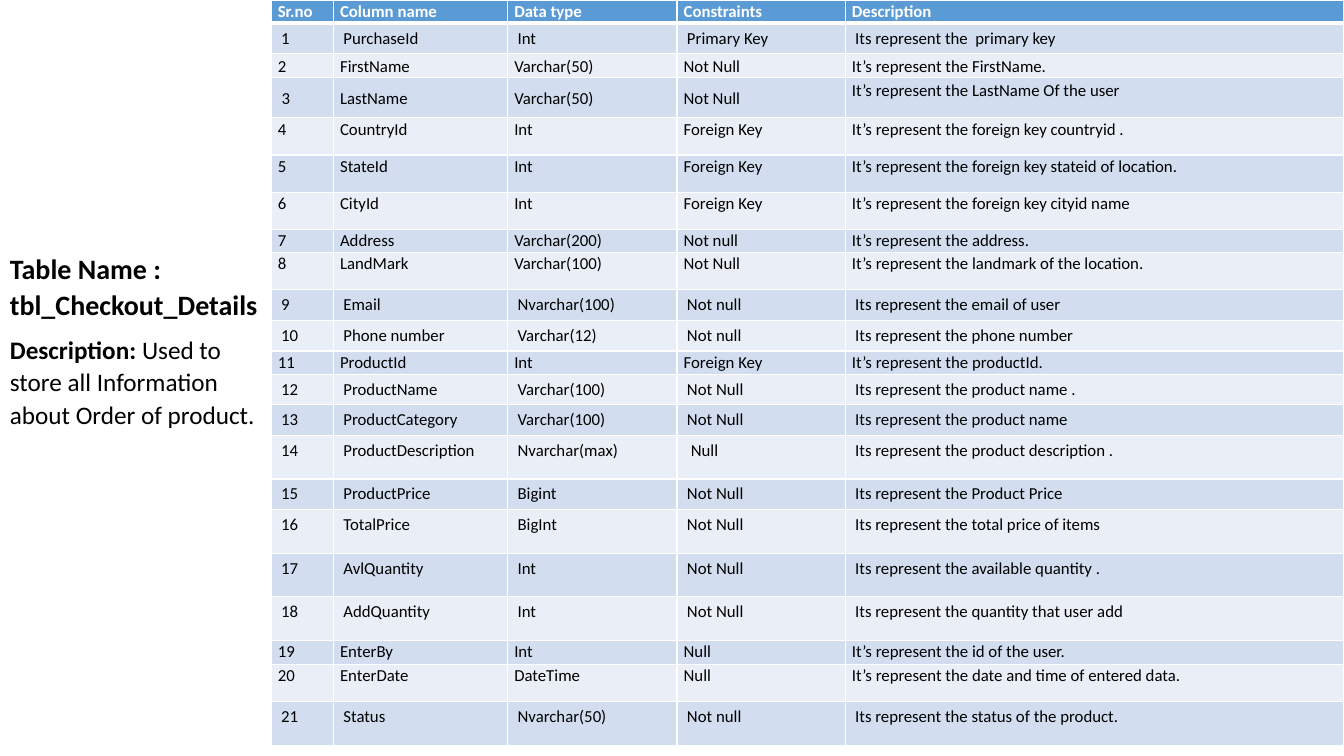
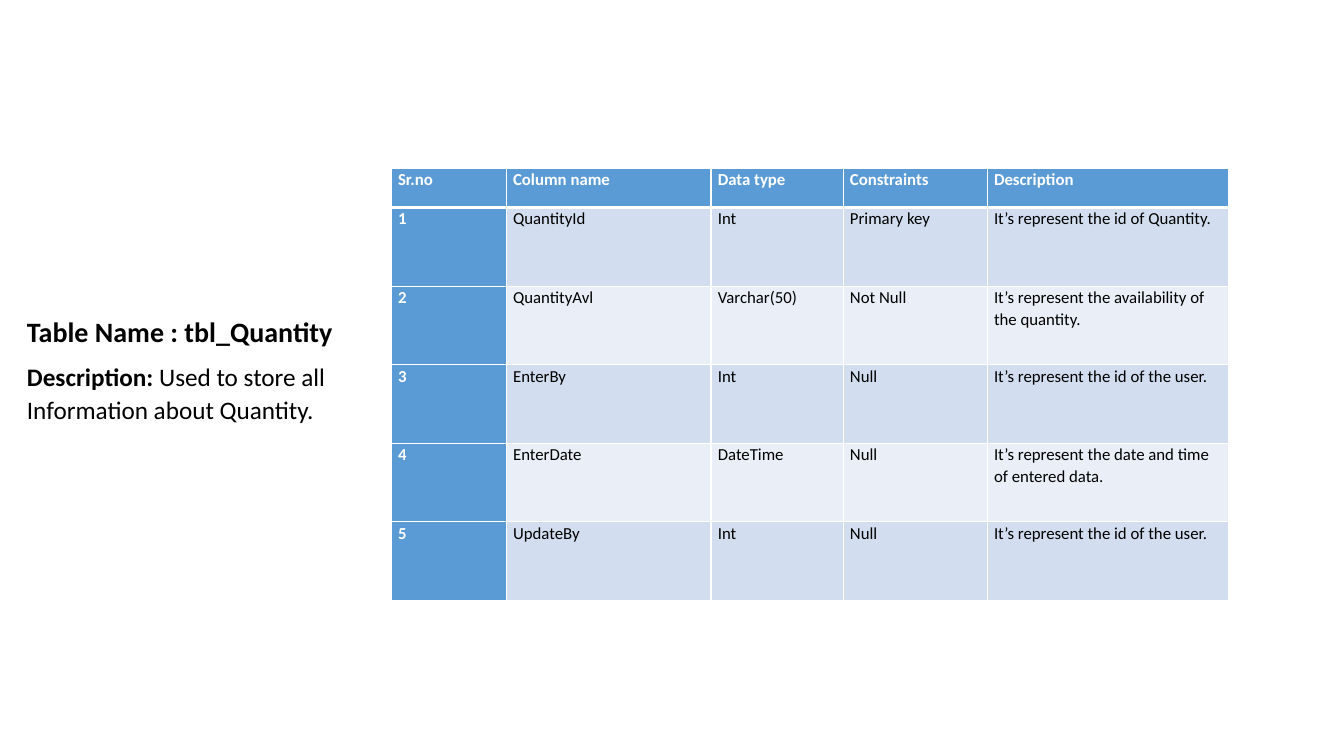
from dataclasses import dataclass

from lxml.etree import SubElement
from pptx import Presentation
from pptx.dml.color import RGBColor as Color
from pptx.enum.text import MSO_ANCHOR as Anchor, MSO_AUTO_SIZE as AutoSize
from pptx.oxml.ns import qn
from pptx.util import Cm, Pt


@dataclass(frozen=True)
class Theme:
    font: str = "Calibri"
    accent: str = "5B9BD5"
    bands: tuple = ("EAEFF7", "D2DEEF")
    ink: str = "000000"
    white: str = "FFFFFF"
    title_size: int = 20
    body_size: int = 18
    cell_size: int = 12
    thin_line: int = 1
    thick_line: int = 3


theme = Theme()


def set_values(target, values):
    for name, value in values.items():
        setattr(target, name, value)


def add_run(paragraph, text, size, color, bold):
    run = paragraph.add_run()
    run.text = text
    set_values(run.font, {"name": theme.font, "size": Pt(size), "bold": bold})
    run.font.color.rgb = Color.from_string(color)


header = ("Sr.no", "Column name", "Data type", "Constraints", "Description")

checkout_rows = [
    ("1", "PurchaseId", "Int", "Primary Key", "Its represent the  primary key"),
    ("2", "FirstName", "Varchar(50)", "Not Null", "It’s represent the FirstName."),
    (" 3", "LastName", "Varchar(50)", "Not Null", "It’s represent the LastName Of the user"),
    ("4", "CountryId", "Int", "Foreign Key", "It’s represent the foreign key countryid ."),
    ("5", "StateId", "Int", "Foreign Key", "It’s represent the foreign key stateid of location."),
    ("6", "CityId", "Int", "Foreign Key", "It’s represent the foreign key cityid name"),
    ("7", "Address", "Varchar(200)", "Not null", "It’s represent the address."),
    ("8", "LandMark", "Varchar(100)", "Not Null", "It’s represent the landmark of the location."),
    ("9", "Email", "Nvarchar(100)", "Not null", "Its represent the email of user"),
    ("10", "Phone number", "Varchar(12)", "Not null", "Its represent the phone number"),
    ("11", "ProductId", "Int", "Foreign Key", "It’s represent the productId."),
    ("12", "ProductName", "Varchar(100)", "Not Null", "Its represent the product name ."),
    ("13", "ProductCategory", "Varchar(100)", "Not Null", "Its represent the product name"),
    ("14", "ProductDescription", "Nvarchar(max)", " Null", "Its represent the product description ."),
    ("15", "ProductPrice", "Bigint", "Not Null", "Its represent the Product Price"),
    ("16", "TotalPrice", "BigInt", "Not Null", "Its represent the total price of items"),
    ("17", "AvlQuantity", "Int", "Not Null", "Its represent the available quantity ."),
    ("18", "AddQuantity", "Int", "Not Null", "Its represent the quantity that user add"),
    ("19", "EnterBy", "Int", "Null", "It’s represent the id of the user."),
    ("20", "EnterDate", "DateTime", "Null", "It’s represent the date and time of entered data."),
    ("21", "Status", "Nvarchar(50)", "Not null", "Its represent the status of the product."),
]

quantity_rows = [
    ("1", "QuantityId", "Int", "Primary key", "It’s represent the id of Quantity."),
    ("2", "QuantityAvl", "Varchar(50)", "Not Null", "It’s represent the availability of the quantity."),
    ("3", "EnterBy", "Int", "Null", "It’s represent the id of the user."),
    ("4", "EnterDate", "DateTime", "Null", "It’s represent the date and time of entered data."),
    ("5", "UpdateBy", "Int", "Null", "It’s represent the id of the user."),
]

pages = [
    {
        "title": "Table Name : tbl_Checkout_Details",
        "description": " Used to store all Information about Order of product.",
        "text_box": (0, 6.15, 6.83, 4.85),
        "table_at": (6.83, 0),
        "widths": (1.57, 4.39, 4.27, 4.24, 12.55),
        "heights": (0.58, 0.72, 0.58, 1.02, 0.94, 0.94, 0.94, 0.58, 0.94, 0.74, 0.74,
                    0.58, 0.74, 0.74, 1.1, 0.74, 1.1, 1.1, 1.1, 0.6, 0.94, 1.1),
        "rows": checkout_rows,
        "centred_rows": (2, 3),
        "first_col": False,
    },
    {
        "title": "Table Name : tbl_Quantity",
        "description": " Used to store all Information about Quantity.",
        "text_box": (0.43, 7.75, 8.41, 3.1),
        "table_at": (9.86, 4.24),
        "widths": (2.9, 5.16, 3.33, 3.63, 6.07),
        "heights": (0.99,) + (1.98,) * 5,
        "rows": quantity_rows,
        "centred_rows": (),
        "first_col": True,
    },
]

tight_margins = {"margin_left": Cm(0.17), "margin_right": Cm(0.17), "margin_top": 0, "margin_bottom": 0}

presentation = Presentation()
set_values(presentation, {"slide_width": Cm(33.87), "slide_height": Cm(19.05)})

for page in pages:
    slide = presentation.slides.add_slide(presentation.slide_layouts[6])
    widths, heights = page["widths"], page["heights"]
    left, top = page["table_at"]
    frame = slide.shapes.add_table(
        len(heights), len(widths), Cm(left), Cm(top), Cm(sum(widths)), Cm(sum(heights)))
    table = frame.table
    table.first_col = page["first_col"]
    for column, width in zip(table.columns, widths):
        column.width = Cm(width)
    for row, height in zip(table.rows, heights):
        row.height = Cm(height)

    for row_index, texts in enumerate([header] + page["rows"]):
        centred = row_index in page["centred_rows"]
        roomy = texts[-1].startswith("Its ")
        for column_index, text in enumerate(texts):
            cell = table.cell(row_index, column_index)
            heading = row_index == 0 or (page["first_col"] and column_index == 0)
            properties = cell._tc.get_or_add_tcPr()
            for side in ("lnL", "lnR", "lnT", "lnB"):
                under_header = (row_index, side) in ((0, "lnB"), (1, "lnT"))
                weight = theme.thick_line if under_header else theme.thin_line
                line = SubElement(properties, qn(f"a:{side}"), w=str(Pt(weight)))
                fill = SubElement(line, qn("a:solidFill"))
                SubElement(fill, qn("a:srgbClr"), val=theme.white)
            cell.fill.solid()
            cell.fill.fore_color.rgb = Color.from_string(
                theme.accent if heading else theme.bands[row_index % 2])
            paragraph = cell.text_frame.paragraphs[0]
            if not roomy:
                set_values(cell, tight_margins)
                paragraph.line_spacing = 1.15 if centred else 1.07
            if centred and column_index < len(texts) - 1:
                cell.vertical_anchor = Anchor.MIDDLE
            add_run(paragraph, text, theme.cell_size, theme.white if heading else theme.ink, heading)

    text_frame = slide.shapes.add_textbox(*map(Cm, page["text_box"])).text_frame
    set_values(text_frame, {"word_wrap": True, "auto_size": AutoSize.SHAPE_TO_FIT_TEXT})
    title = text_frame.paragraphs[0]
    description = text_frame.add_paragraph()
    for paragraph in (title, description):
        set_values(paragraph, {"line_spacing": 1.07, "space_after": Pt(8)})
    add_run(title, page["title"], theme.title_size, theme.ink, True)
    add_run(description, "Description:", theme.body_size, theme.ink, True)
    add_run(description, page["description"], theme.body_size, theme.ink, False)

presentation.save("out.pptx")
